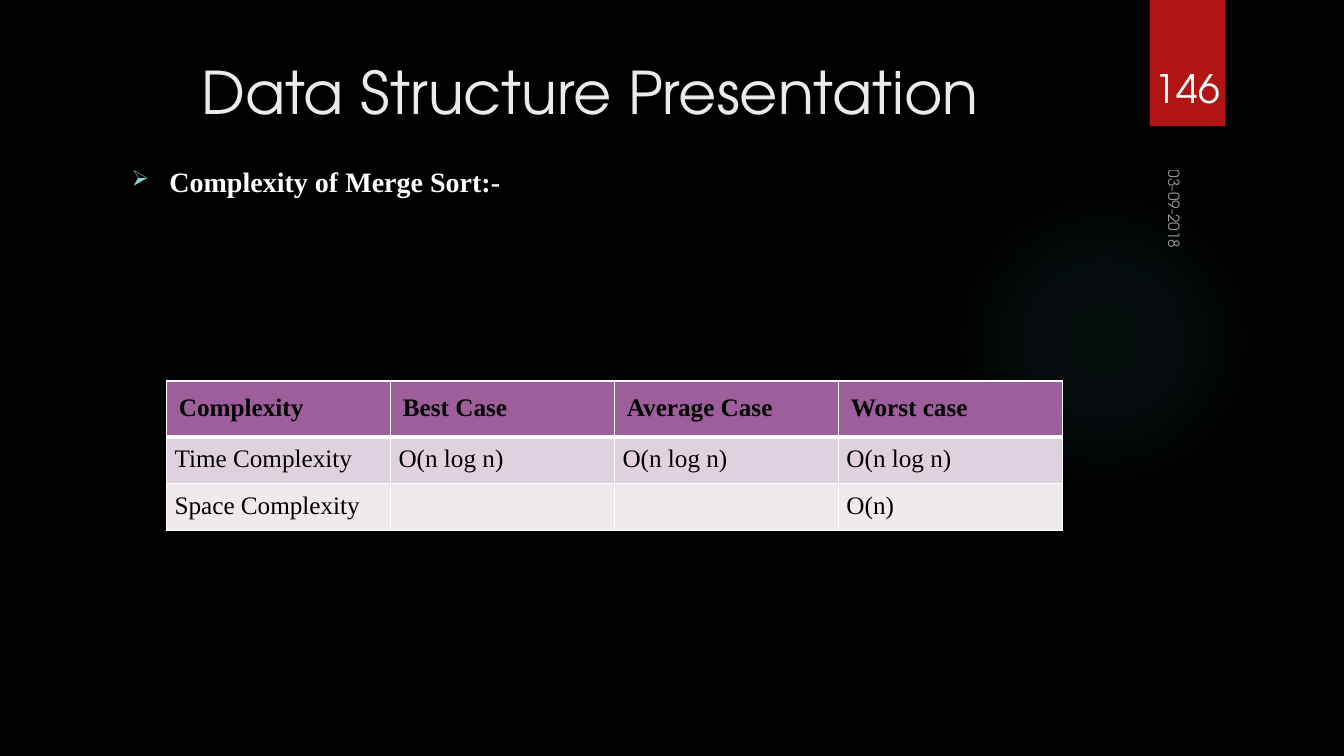
from lxml import etree
from pptx import Presentation
from pptx.dml.color import RGBColor
from pptx.enum.shapes import MSO_SHAPE as Shape
from pptx.enum.text import MSO_ANCHOR as Anchor, PP_ALIGN as Align
from pptx.oxml import parse_xml
from pptx.oxml.ns import nsdecls, qn
from pptx.util import Cm, Pt

COLORS = {
    "background": "000000", "title": "EBEBEB", "light": "FFFFFF", "dark": "000000",
    "ribbon": "B01513", "glow": "50B9C1", "bullet": "8AD0D6",
    "header": "9E5E9B", "odd_row": "DFD2DE", "even_row": "F0EAEF",
}
DISPLAY, SERIF = "TeX Gyre Adventor", "Times New Roman"


def rgb(name):
    return RGBColor.from_string(COLORS[name])


class Deck:
    def __init__(self, width, height):
        self.prs = Presentation()
        self.prs.slide_width, self.prs.slide_height = Cm(width), Cm(height)

    def add_slide(self):
        self.slide = self.prs.slides.add_slide(self.prs.slide_layouts[5])
        fill = self.slide.background.fill
        fill.solid()
        fill.fore_color.rgb = rgb("background")

    def set_text(self, frame, text, size, font=DISPLAY, color="light", bold=False,
                 align=Align.LEFT, anchor=Anchor.TOP):
        frame.text = text
        frame.word_wrap = True
        frame.vertical_anchor = anchor
        paragraph = frame.paragraphs[0]
        paragraph.alignment = align
        for run in paragraph.runs:
            run.font.size, run.font.name, run.font.bold = Pt(size), font, bold
            run.font.color.rgb = rgb(color)
        return paragraph

    def title(self, box, text):
        title = self.slide.shapes.title
        title.left, title.top, title.width, title.height = map(Cm, box)
        self.set_text(title.text_frame, text, 42, color="title", align=Align.CENTER)

    def shape(self, kind, box, color):
        shape = self.slide.shapes.add_shape(kind, *map(Cm, box))
        shape.shadow.inherit = False
        shape.line.fill.background()
        shape.fill.solid()
        shape.fill.fore_color.rgb = rgb(color)
        return shape

    def glow(self, box, stops):
        """Draw a circle that fades outwards through (position %, opacity %) stops."""
        circle = self.shape(Shape.OVAL, box, "glow")
        stop_xml = "".join(
            f'<a:gs pos="{position * 1000}"><a:srgbClr val="{COLORS["glow"]}">'
            f'<a:alpha val="{opacity * 1000}"/></a:srgbClr></a:gs>'
            for position, opacity in stops)
        gradient = parse_xml(
            f'<a:gradFill {nsdecls("a")}><a:gsLst>{stop_xml}</a:gsLst><a:path path="circle">'
            '<a:fillToRect l="50000" t="50000" r="50000" b="50000"/></a:path></a:gradFill>')
        properties = circle.element.spPr
        properties.replace(properties.find(qn("a:solidFill")), gradient)

    def text(self, box, text, size, rotation=0, opacity=100, **style):
        label = self.slide.shapes.add_textbox(*map(Cm, box))
        label.rotation = rotation
        paragraph = self.set_text(label.text_frame, text, size, **style)
        if opacity < 100:
            for color in paragraph._p.iter(qn("a:srgbClr")):
                etree.SubElement(color, qn("a:alpha"), val=str(opacity * 1000))
        return paragraph

    def bullet(self, box, text):
        paragraph = self.text(box, text, 20, font=SERIF, bold=True)
        paragraph.space_before = Pt(10)
        properties = paragraph._p.get_or_add_pPr()
        indent = Cm(0.95)
        properties.set("marL", str(indent))
        properties.set("indent", str(-indent))
        color = etree.SubElement(properties, qn("a:buClr"))
        etree.SubElement(color, qn("a:srgbClr"), val=COLORS["bullet"])
        etree.SubElement(properties, qn("a:buSzPct"), val="80000")
        etree.SubElement(properties, qn("a:buChar"), char="➢")

    def borders(self, cell, bottom):
        properties = cell._tc.get_or_add_tcPr()
        for index, (side, width) in enumerate(zip("LRTB", (1, 1, 1, bottom))):
            properties.insert(index, parse_xml(
                f'<a:ln{side} {nsdecls("a")} w="{Pt(width)}"><a:solidFill>'
                f'<a:srgbClr val="{COLORS["light"]}"/></a:solidFill></a:ln{side}>'))

    def table(self, box, rows, heights):
        table = self.slide.shapes.add_table(len(rows), len(rows[0]), *map(Cm, box)).table
        fills = ("header", "odd_row", "even_row")
        for r, (row, height, fill) in enumerate(zip(rows, heights, fills)):
            table.rows[r].height = Cm(height)
            header = r == 0
            inset = Cm(0.32 if header else 0.21)
            for c, text in enumerate(row):
                cell = table.cell(r, c)
                cell.margin_left = cell.margin_right = inset
                cell.margin_top = cell.margin_bottom = inset
                cell.fill.solid()
                cell.fill.fore_color.rgb = rgb(fill)
                self.borders(cell, bottom=3 if header else 1)
                self.set_text(cell.text_frame, text, 18, font=SERIF, color="dark", bold=header)


def main():
    deck = Deck(33.87, 19.05)
    deck.add_slide()
    deck.glow((23.9, 4.65, 7.82, 7.82), [(0, 7), (36, 6), (69, 0), (100, 0)])
    deck.shape(Shape.RECTANGLE, (28.98, 0, 1.91, 3.18), "ribbon")
    deck.title((1.8, 1.27, 26.14, 3.89), "Data Structure Presentation")
    deck.bullet((3.07, 4.01, 24.84, 14.27), "Complexity of Merge Sort:-")
    deck.text((28.22, 4.98, 2.74, 0.84), "03-09-2018", 11, rotation=90, opacity=60,
              anchor=Anchor.MIDDLE)
    deck.text((28.75, 0.81, 2.34, 2.13), "146", 28, align=Align.CENTER, anchor=Anchor.BOTTOM)
    deck.table((4.19, 9.6, 22.58, 3.59), [
        ("Complexity", "Best Case", "Average Case", "Worst case"),
        ("Time Complexity", "O(n log n)", "O(n log n)", "O(n log n)"),
        ("Space Complexity", "", "", "O(n)"),
    ], heights=(1.33, 1.13, 1.13))
    deck.prs.save("out.pptx")


if __name__ == "__main__":
    main()
